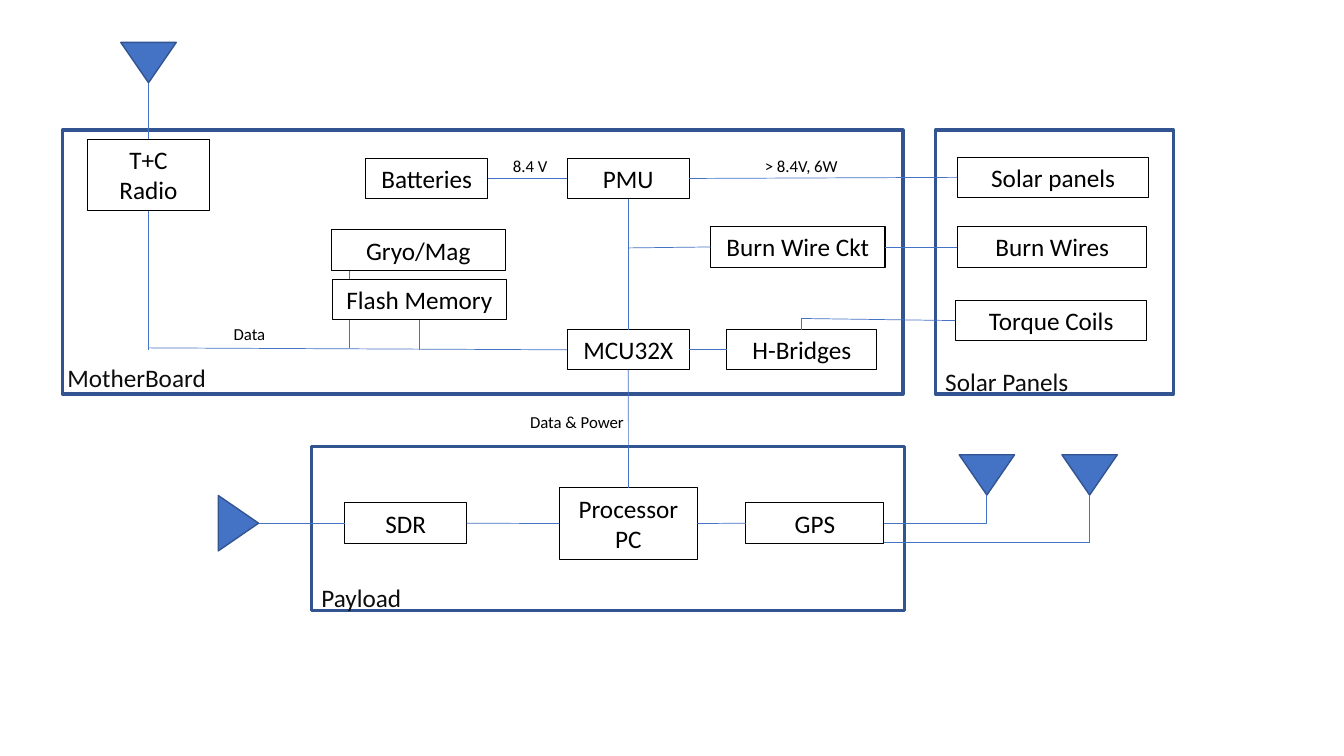
"""Builds a one-slide block diagram of a small satellite's electronics."""
import math

import lxml.etree
import pptx
import pptx.dml.color
import pptx.enum.shapes
import pptx.enum.text
import pptx.oxml.ns
import pptx.util

Pt = pptx.util.Pt
SHAPE = pptx.enum.shapes.MSO_SHAPE
CONNECTOR = pptx.enum.shapes.MSO_CONNECTOR
ALIGN = pptx.enum.text.PP_ALIGN
qn = pptx.oxml.ns.qn

COLORS = {"accent": "4472C4", "frame": "325491", "ink": "000000",
          "title": "0D0D0D", "paper": "FFFFFF"}
TOP, LEFT, BOTTOM, RIGHT = range(4)
NODE_H = 28.8
TALL_H = 51
ANTENNA_W, ANTENNA_H = 39.6, 28.8


def rgb(name):
    return pptx.dml.color.RGBColor.from_string(COLORS[name])


def shape(s, kind, x, y, w, h, line, weight, fill=None):
    sp = s.shapes.add_shape(kind, Pt(x), Pt(y), Pt(w), Pt(h))
    sp.shadow.inherit = False
    sp.line.color.rgb = rgb(line)
    sp.line.width = Pt(weight)
    if fill:
        sp.fill.solid()
        sp.fill.fore_color.rgb = rgb(fill)
    else:
        sp.fill.background()
    return sp


def write(sp, text, size, color, align):
    tf = sp.text_frame
    tf.vertical_anchor = pptx.enum.text.MSO_ANCHOR.TOP
    tf.text = text
    for p in tf.paragraphs:
        p.alignment = align
        p.font.name = "Calibri"
        p.font.size = Pt(size)
        p.font.color.rgb = rgb(color)
    return tf


def node(s, text, x, y, w, h=NODE_H, fill=None):
    sp = shape(s, SHAPE.RECTANGLE, x, y, w, h, "ink", 0.75, fill)
    write(sp, text, 18, "ink", ALIGN.CENTER).word_wrap = True
    return sp


def label(s, text, x, y, w, h=21.6, size=12, color="ink"):
    sp = s.shapes.add_textbox(Pt(x), Pt(y), Pt(w), Pt(h))
    write(sp, text, size, color, ALIGN.LEFT).word_wrap = False


def frame(s, box, title, dx, dy, w):
    x, y = box[:2]
    shape(s, SHAPE.RECTANGLE, *box, "frame", 2.25)
    label(s, title, x + dx, y + dy, w, NODE_H, 18, "title")


def wire(s, x1, y1, x2, y2, kind=CONNECTOR.STRAIGHT):
    c = s.shapes.add_connector(kind, Pt(x1), Pt(y1), Pt(x2), Pt(y2))
    c.line.color.rgb = rgb("accent")
    c.line.width = Pt(0.5)
    lxml.etree.SubElement(c._element.spPr, qn("a:effectLst"))
    return c


def corner_wire(s, x1, y1, x2, y2):
    c = wire(s, x1, y1, x2, y2, CONNECTOR.ELBOW)
    c._element.spPr.find(qn("a:prstGeom")).set("prst", "bentConnector2")


def link(s, a, a_side, b, b_side):
    c = wire(s, 0, 0, 1, 1)
    c.begin_connect(a, a_side)
    c.end_connect(b, b_side)


def antenna(s, tip_x, tip_y, turn):
    angle = math.radians(turn)
    cx = tip_x - math.sin(angle) * ANTENNA_H / 2
    cy = tip_y + math.cos(angle) * ANTENNA_H / 2
    sp = shape(s, SHAPE.ISOSCELES_TRIANGLE, cx - ANTENNA_W / 2,
               cy - ANTENNA_H / 2, ANTENNA_W, ANTENNA_H, "frame", 1, "accent")
    sp.rotation = turn


def motherboard(s, box):
    x, y = box[:2]
    frame(s, box, "MotherBoard", -3.6, 162.7, 114.5)
    radio_x, bus_y, mcu_x = x + 61.5, y + 157, x + 360.7
    antenna(s, radio_x, y - 33.8, 180)
    for wx, top, bottom in ((61.5, -33.8, 6.5), (61.5, 57.5, 157),
                            (205.2, 100.1, 155.6), (254.9, 135.4, 157)):
        wire(s, x + wx, y + top, x + wx, y + bottom)
    wire(s, radio_x, y + 155.6, mcu_x, bus_y)

    node(s, "T+C Radio", x + 18, y + 6.5, 87, TALL_H)
    node(s, "Gryo/Mag", x + 192.2, y + 71.3, 124)
    node(s, "Flash Memory", x + 193, y + 106.6, 124, fill="paper")
    batteries = node(s, "Batteries", x + 216.7, y + 20.2, 87)
    pmu = node(s, "PMU", mcu_x, y + 20.2, 87)
    mcu = node(s, "MCU32X", mcu_x, y + 142.6, 87)
    bridges = node(s, "H-Bridges", x + 474.5, y + 142.6, 107.3)
    burn = node(s, "Burn Wire Ckt", x + 463, y + 69.1, 124.6)

    link(s, batteries, RIGHT, pmu, LEFT)
    link(s, pmu, BOTTOM, mcu, TOP)
    link(s, mcu, RIGHT, bridges, LEFT)
    wire(s, x + 463, y + 83.5, x + 404.2, y + 84.2)
    label(s, "8.4 V", x + 314.6, y + 15.1, 39.6)
    label(s, "> 8.4V, 6W", x + 494.6, y + 15.1, 67.7)
    label(s, "Data", x + 115.2, y + 134.6, 37.4)
    return pmu, mcu, burn


def solar_panels(s, box):
    x, y = box[:2]
    frame(s, box, "Solar Panels", 0, 164.9, 103.7)
    panels = node(s, "Solar panels", x + 15.8, y + 19.4, 136.8)
    burn = node(s, "Burn Wires", x + 15.8, y + 69.1, 135.4)
    node(s, "Torque Coils", x + 14.4, y + 121.7, 136.8)
    bridge_x, bend_y = x - 95.5, y + 134.6
    wire(s, x + 14.4, y + 136.1, bridge_x, bend_y)
    wire(s, bridge_x, y + 142.6, bridge_x, bend_y)
    return panels, burn


def payload(s, box):
    x, y = box[:2]
    frame(s, box, "Payload", 0, 93.6, 72)
    sdr = node(s, "SDR", x + 23.8, y + 40.3, 87)
    computer = node(s, "Processor\nPC", x + 177.1, y + 29.5, 98.6, TALL_H)
    gps = node(s, "GPS", x + 310.3, y + 40.3, 98.6)
    link(s, sdr, RIGHT, computer, LEFT)
    link(s, gps, LEFT, computer, RIGHT)

    axis_y = y + 54.7
    antenna(s, x - 37.8, axis_y, 90)
    wire(s, x + 23.8, axis_y, x - 37.8, axis_y)
    for tip_x, exit_y in ((482.4, 54.7), (555.8, 68.4)):
        antenna(s, x + tip_x, y + 34.6, 180)
        corner_wire(s, x + 408.9, y + exit_y, x + tip_x, y + 34.6)
    label(s, "Data & Power", x + 149, y - 28.8, 82)
    return computer


def block_diagram(s, x, y):
    pmu, mcu, burn_circuit = motherboard(s, (x, y, 600.5, 188.6))
    panels, burn_wires = solar_panels(s, (x + 623.5, y, 170, 188.6))
    computer = payload(s, (x + 177.9, y + 226.1, 423.4, 117.4))
    link(s, pmu, RIGHT, panels, LEFT)
    link(s, burn_circuit, RIGHT, burn_wires, LEFT)
    link(s, mcu, BOTTOM, computer, TOP)


prs = pptx.Presentation()
prs.slide_width, prs.slide_height = Pt(960), Pt(540)
block_diagram(prs.slides.add_slide(prs.slide_layouts[6]), 44.6, 92.9)
prs.save("out.pptx")
